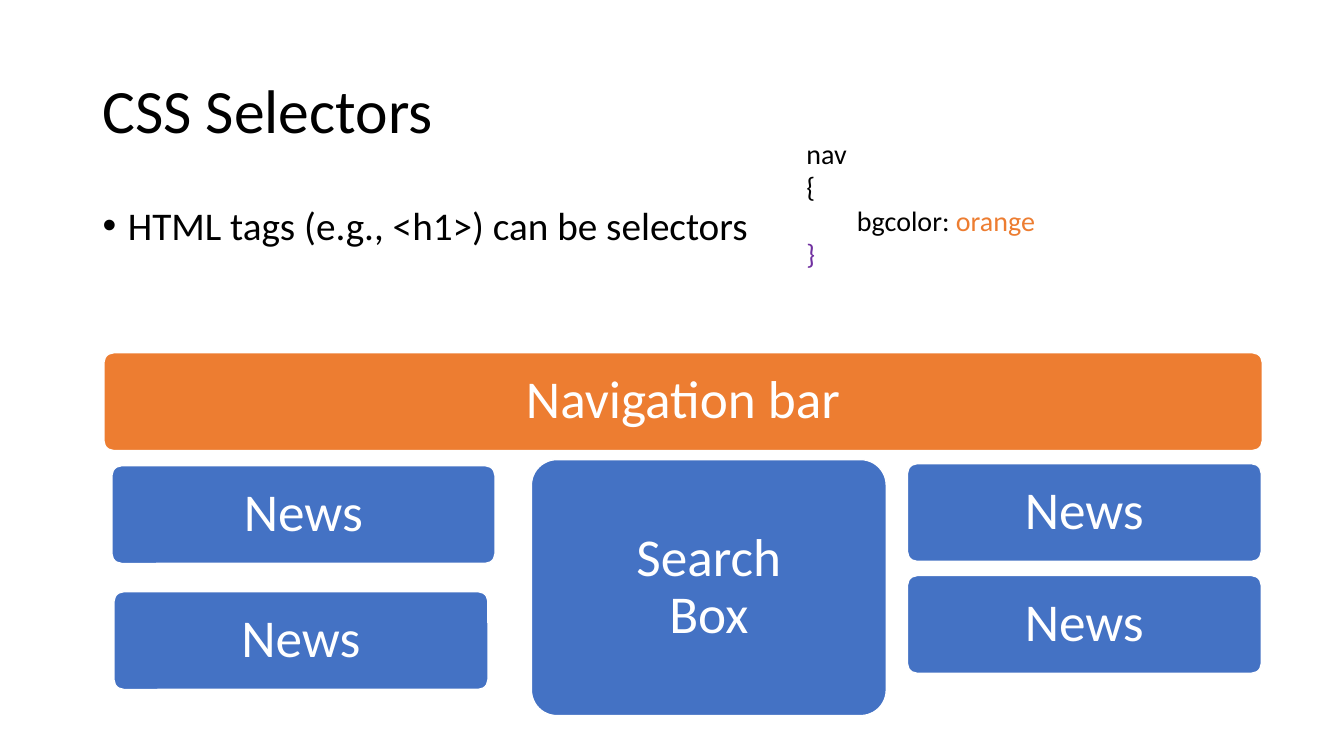
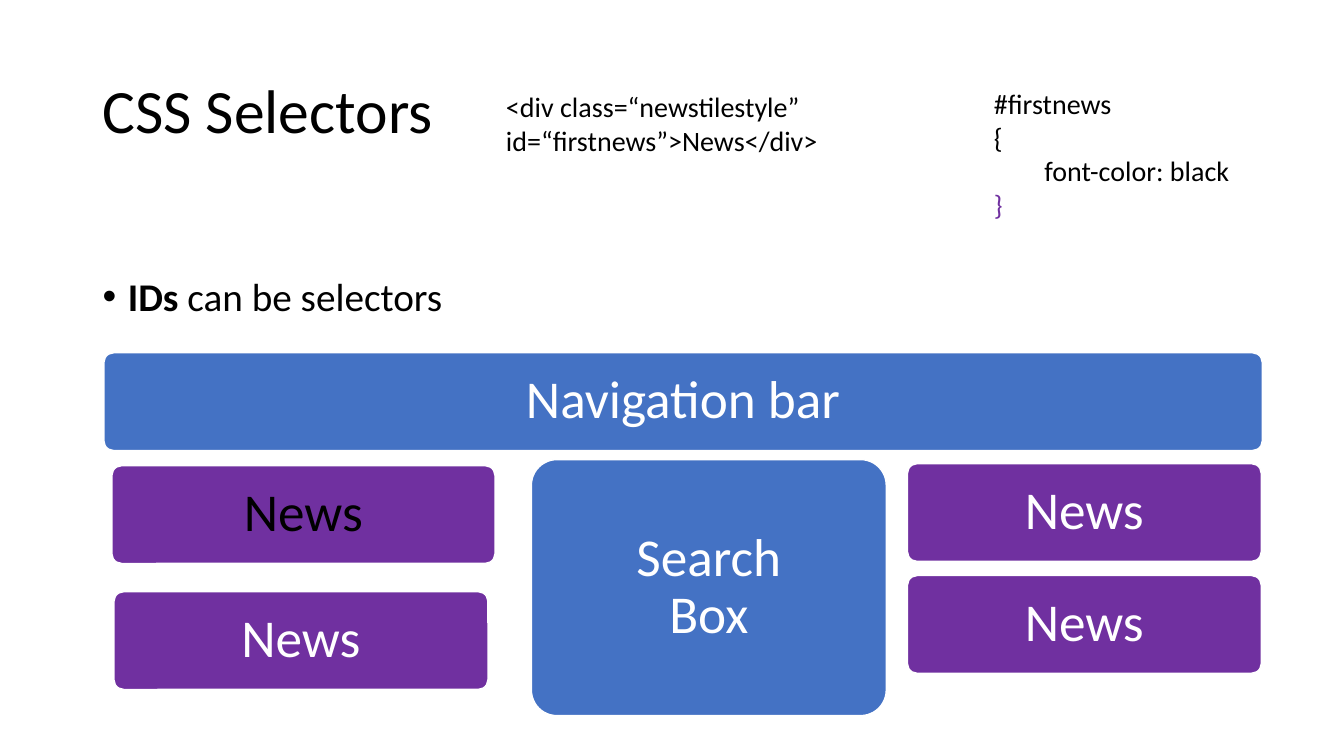
from dataclasses import dataclass

from lxml import etree
from pptx import Presentation
from pptx.dml.color import RGBColor
from pptx.enum import shapes, text
from pptx.oxml import ns
from pptx.util import Inches, Pt


@dataclass(frozen=True)
class Theme:
    font: str = "Calibri"
    black: str = "000000"
    white: str = "FFFFFF"
    blue: str = "4472C4"
    orange: str = "ED7D31"
    purple: str = "7030A0"
    title_size: int = 44
    tile_size: int = 38
    body_size: int = 28
    code_size: int = 20
    line_spacing: float = 0.9
    corner: float = 0.1


THEME = Theme()

# Page mock-up shared by the slides: role, lines, (left, top, width, height), padding
TILES = [
    ("nav", ["Navigation bar"], (1.03, 3.5, 11.49, 0.97), 0.19),
    ("search", ["Search", "Box"], (5.27, 4.56, 3.52, 2.54), 0.23),
    ("news", ["News"], (1.13, 5.87, 3.71, 0.97), 0.19),
    ("firstnews", ["News"], (1.11, 4.62, 3.8, 0.97), 0.19),
    ("news", ["News"], (9, 4.6, 3.51, 0.97), 0.19),
    ("news", ["News"], (9, 5.71, 3.51, 0.97), 0.19),
]

# Code paragraphs are lists of (text, colour); fills and inks override tile colours
TITLE = "CSS Selectors"
SLIDES = [
    dict(
        bullet=[("HTML tags (e.g., <h1>) can be selectors", False)],
        bullet_top=2,
        fills={"nav": THEME.orange},
        inks={},
        snippets=[
            dict(box=(7.9, 1.3, 2.99, 1.45), wrap=False, lines=[
                [("nav", THEME.black)],
                [("{", THEME.black)],
                [("\tbgcolor: ", THEME.black), ("orange", THEME.orange)],
                [("}", THEME.purple)],
            ]),
        ],
    ),
    dict(
        bullet=[("IDs ", True), ("can be selectors", False)],
        bullet_top=2.7,
        fills={"news": THEME.purple, "firstnews": THEME.purple},
        inks={"firstnews": THEME.black},
        snippets=[
            dict(box=(9.76, 0.81, 3.07, 1.45), wrap=False, lines=[
                [("#firstnews", THEME.black)],
                [("{", THEME.black)],
                [("\tfont-color: black", THEME.black)],
                [("}", THEME.purple)],
            ]),
            dict(box=(4.92, 0.84, 4.28, 0.77), wrap=True, lines=[
                [("<div class=“newstilestyle” id=“firstnews”>News</div>",
                  THEME.black)],
            ]),
        ],
    ),
]

BODY_LEFT, BODY_WIDTH, BODY_BOTTOM = 0.92, 11.5, 5.75


def inches(box):
    return [Inches(value) for value in box]


def add_run(paragraph, words, size, color=THEME.black, bold=False):
    run = paragraph.add_run()
    run.text = words
    run.font.name = THEME.font
    run.font.size = Pt(size)
    run.font.bold = bold
    run.font.color.rgb = RGBColor.from_string(color)


def add_frame(slide, box, wrap=True):
    frame = slide.shapes.add_textbox(*inches(box)).text_frame
    frame.word_wrap = wrap
    return frame


def add_title(slide):
    frame = add_frame(slide, (BODY_LEFT, 0.4, BODY_WIDTH, 1.45))
    frame.vertical_anchor = text.MSO_ANCHOR.MIDDLE
    heading = frame.paragraphs[0]
    heading.line_spacing = THEME.line_spacing
    add_run(heading, TITLE, THEME.title_size)


def add_bullet(slide, runs, top):
    frame = add_frame(slide, (BODY_LEFT, top, BODY_WIDTH, BODY_BOTTOM - top))
    point = frame.paragraphs[0]
    point.line_spacing = THEME.line_spacing
    point.space_before = Pt(10)
    for words, bold in runs:
        add_run(point, words, THEME.body_size, bold=bold)
    # Hanging bullet
    props = point._p.get_or_add_pPr()
    props.set("marL", str(Inches(0.25)))
    props.set("indent", str(-Inches(0.25)))
    etree.SubElement(props, ns.qn("a:buFont"), typeface="Arial")
    etree.SubElement(props, ns.qn("a:buChar"), char="•")


def add_tile(slide, lines, box, padding, fill, ink):
    tile = slide.shapes.add_shape(
        shapes.MSO_SHAPE.ROUNDED_RECTANGLE, *inches(box))
    tile.adjustments[0] = THEME.corner
    tile.shadow.inherit = False
    tile.fill.solid()
    tile.fill.fore_color.rgb = RGBColor.from_string(fill)
    tile.line.color.rgb = RGBColor.from_string(THEME.white)
    tile.line.width = Pt(1)
    frame = tile.text_frame
    frame.word_wrap = True
    frame.vertical_anchor = text.MSO_ANCHOR.MIDDLE
    frame.margin_left = frame.margin_right = Inches(padding)
    frame.margin_top = frame.margin_bottom = Inches(padding)
    label = frame.paragraphs[0]
    label.alignment = text.PP_ALIGN.CENTER
    label.line_spacing = THEME.line_spacing
    for number, words in enumerate(lines):
        if number:
            label.add_line_break()
        add_run(label, words, THEME.tile_size, ink)


def add_snippet(slide, box, wrap, lines):
    frame = add_frame(slide, box, wrap)
    frame.auto_size = text.MSO_AUTO_SIZE.SHAPE_TO_FIT_TEXT
    for number, runs in enumerate(lines):
        line = frame.add_paragraph() if number else frame.paragraphs[0]
        for words, color in runs:
            add_run(line, words, THEME.code_size, color)


def main():
    deck = Presentation()
    deck.slide_width, deck.slide_height = Inches(13.33), Inches(7.5)
    for content in SLIDES:
        slide = deck.slides.add_slide(deck.slide_layouts[6])
        add_title(slide)
        add_bullet(slide, content["bullet"], content["bullet_top"])
        for role, lines, box, padding in TILES:
            add_tile(slide, lines, box, padding,
                     content["fills"].get(role, THEME.blue),
                     content["inks"].get(role, THEME.white))
        for snippet in content["snippets"]:
            add_snippet(slide, **snippet)
    deck.save("out.pptx")


if __name__ == "__main__":
    main()
